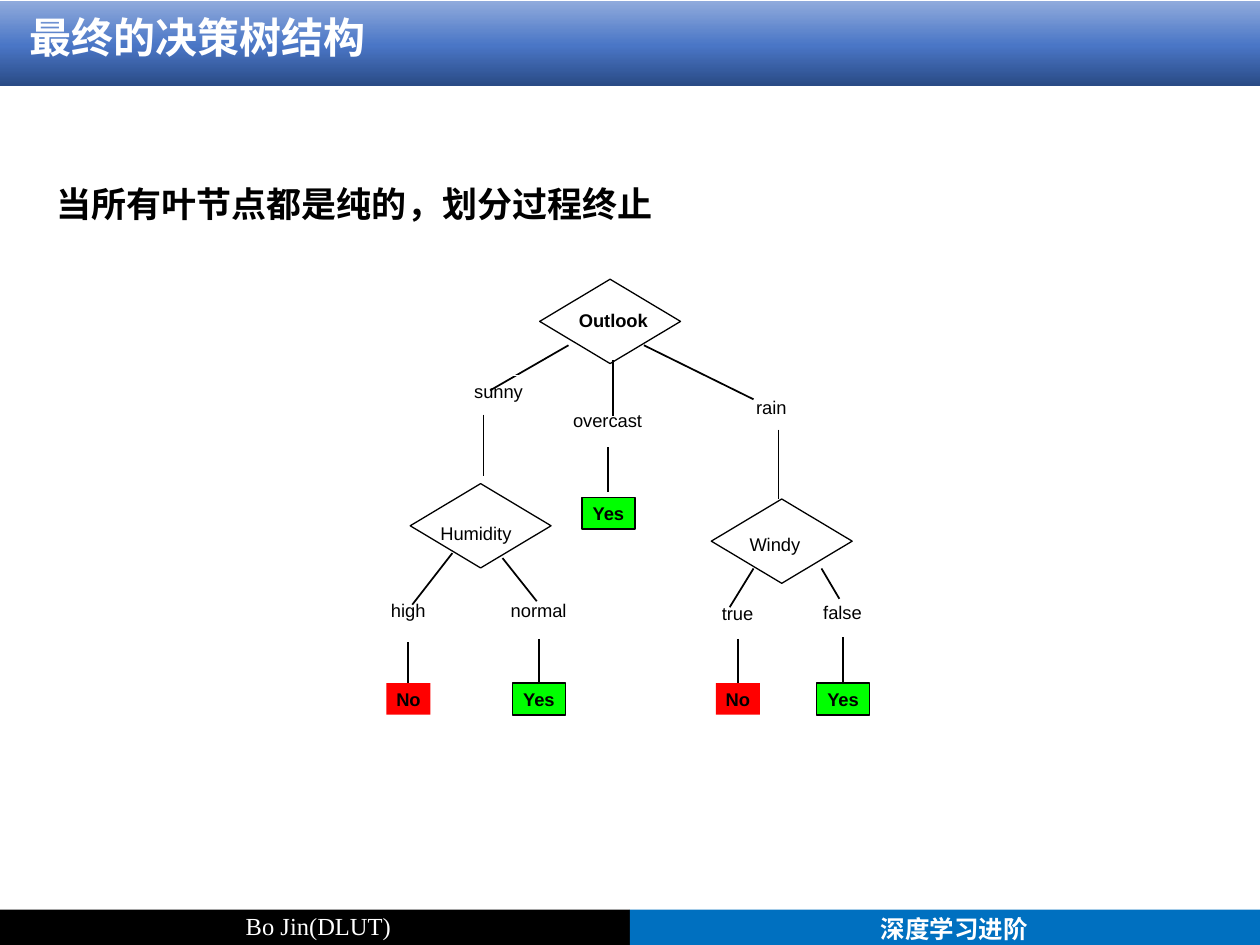
"""Build a slide with the final decision tree for the weather example."""
from copy import deepcopy

from lxml import etree
from pptx import Presentation
from pptx.dml.color import RGBColor
from pptx.enum.shapes import MSO_CONNECTOR, MSO_SHAPE
from pptx.enum.text import MSO_ANCHOR, MSO_AUTO_SIZE, PP_ALIGN
from pptx.oxml.ns import qn
from pptx.util import Cm, Pt

LINE = MSO_CONNECTOR.STRAIGHT
RECT, GEM = MSO_SHAPE.RECTANGLE, MSO_SHAPE.DIAMOND
LEFT, MID = PP_ALIGN.LEFT, PP_ALIGN.CENTER
TOP, GROW = MSO_ANCHOR.TOP, MSO_AUTO_SIZE.SHAPE_TO_FIT_TEXT
HAN = "Noto Sans CJK SC"
BLACK, WHITE, RED, GREEN = "000000", "FFFFFF", "FF0000", "00FF00"
WIDE, HIGH = 25.4, 19.05
ROW = 0.64
TIGHT = (0.2, 0.1)
GEM_W, GEM_H = 2.84, 1.7

TITLE = "最终的决策树结构"
CLAIM = "当所有叶节点都是纯的，划分过程终止"
FADE = [(0, "2A4B86"), (0.48, "4A76C6"), (1, "8FAADC")]
FOOT = [
    ("Bo Jin(DLUT)", BLACK, 0.69, 0.79, {"font": "Times New Roman", "lead": 15}),
    ("深度学习进阶", "0070C0", 13.51, 0.86, {"font": HAN, "bold": True}),
]
LABELS = [
    ("overcast", 11.3, 8.15, 1.9),
    ("high", 7.63, 11.98, 1.2),
    ("normal", 10.05, 11.98, 1.62),
    ("false", 16.35, 12.01, 1.27),
    ("true", 14.3, 12.04, 1.14),
    ("rain", 14.99, 7.89, 1.12),
]
SUNNY = ("sunny", 9.35, 7.57, 1.4)
SLOPES = [
    (11.46, 6.96, 9.88, 7.87),
    (12.98, 6.96, 15.19, 8.05),
    (9.12, 11.15, 8.31, 12.19),
    (10.13, 11.25, 10.82, 12.12),
    (15.19, 11.46, 14.71, 12.24),
    (16.56, 11.46, 16.92, 12.07),
]
DROPS = [
    (12.35, 7.26, 8.38, 1),
    (8.23, 12.95, 13.84, 1),
    (16.99, 12.85, 13.77, 1),
    (14.88, 12.88, 13.79, 1),
    (10.86, 12.88, 13.79, 1),
    (12.25, 9.02, 9.91, 1),
    (9.75, 8.36, 9.6, 0.75),
    (15.7, 8.66, 10.06, 0.75),
]
LEAVES = [
    ("No", 7.79, 13.77),
    ("No", 14.43, 13.77),
    ("Yes", 10.33, 13.77),
    ("Yes", 16.46, 13.77),
    ("Yes", 11.73, 10.03),
]
LOOKS = {"No": (0.89, RED, None), "Yes": (1.07, GREEN, BLACK)}
TESTS = [
    ("Outlook", 10.88, 5.63, 11.42, 6.1, 1.93, True),
    ("Humidity", 8.27, 9.75, 8.63, 10.4, 1.98, False),
    ("Windy", 14.34, 10.06, 14.86, 10.61, 1.55, False),
]

deck = Presentation()
deck.slide_width, deck.slide_height = Cm(WIDE), Cm(HIGH)
slide = deck.slides.add_slide(deck.slide_layouts[6])
shapes = slide.shapes


def paint(hue):
    return RGBColor.from_string(hue)


def shape(kind, x, y, w, h, fill=None, edge=None, thick=1):
    item = shapes.add_shape(kind, Cm(x), Cm(y), Cm(w), Cm(h))
    item.shadow.inherit = False
    if fill:
        item.fill.solid()
        item.fill.fore_color.rgb = paint(fill)
    else:
        item.fill.background()
    if edge:
        item.line.color.rgb = paint(edge)
        item.line.width = Pt(thick)
    else:
        item.line.fill.background()
    return item


def write(text, x, y, w, h=ROW, host=None, size=10.5, font="Arial", hue=BLACK,
          bold=False, align=MID, pad=(0.25, 0.13), wrap=False, lead=None):
    box = host or shapes.add_textbox(Cm(x), Cm(y), Cm(w), Cm(h))
    frame = box.text_frame
    frame.margin_left = frame.margin_right = Cm(pad[0])
    frame.margin_top = frame.margin_bottom = Cm(pad[1])
    frame.vertical_anchor = TOP
    frame.word_wrap = wrap
    frame.auto_size = GROW
    para = frame.paragraphs[0]
    para.alignment = align
    if lead:
        para.line_spacing = Pt(lead)
    run = para.add_run()
    run.text = text
    face = run.font
    face.name, face.size, face.bold = font, Pt(size), bold
    face.color.rgb = paint(hue)
    if font == HAN:
        etree.SubElement(run._r.rPr, qn("a:ea"), typeface=font)


def link(x1, y1, x2, y2, thick=1):
    line = shapes.add_connector(LINE, Cm(x1), Cm(y1), Cm(x2), Cm(y2))
    line.line.color.rgb = paint(BLACK)
    line.line.width = Pt(thick)
    etree.SubElement(line._element.spPr, qn("a:effectLst"))


def fade(item, stops):
    item.fill.gradient()
    item.fill.gradient_angle = 90
    marks = item._element.spPr.find(qn("a:gradFill")).find(qn("a:gsLst"))
    marks.append(deepcopy(marks[0]))
    for mark, (place, hue) in zip(item.fill.gradient_stops, stops):
        mark.position = place
        mark.color.rgb = paint(hue)


def tree():
    for text, *spot in LABELS:
        write(text, *spot, pad=TIGHT)
    for ends in SLOPES:
        link(*ends)
    for x, top, end, thick in DROPS:
        link(x, top, x, end, thick)
    text, *spot = SUNNY
    host = shape(RECT, *spot, ROW, edge=WHITE)
    write(text, *spot, host=host, pad=TIGHT)
    for text, x, y in LEAVES:
        w, fill, edge = LOOKS[text]
        host = shape(RECT, x, y, w, ROW, fill, edge)
        write(text, x, y, w, host=host, bold=True, pad=TIGHT)
    for text, left, top, x, y, w, bold in TESTS:
        shape(GEM, left, top, GEM_W, GEM_H, edge=BLACK, thick=0.75)
        write(text, x, y, w, 0.71, bold=bold, align=LEFT)


def frame():
    write(CLAIM, 0.89, 3.55, 12.62, 1.12, size=20, font=HAN, bold=True, align=LEFT)
    fade(shape(RECT, 0, 0.03, WIDE, 1.7, fill=BLACK), FADE)
    write(TITLE, 0.35, 0.1, 13.16, 1.27, size=24, font=HAN, hue=WHITE,
          bold=True, align=LEFT, wrap=True)
    half = WIDE / 2
    for i, (text, fill, x, h, look) in enumerate(FOOT):
        shape(RECT, i * half, 18.34, half, 0.71, fill)
        write(text, x, 18.3, 11.46, h, size=14, hue=WHITE, wrap=True, **look)


if __name__ == "__main__":
    tree()
    frame()
    deck.save("out.pptx")
